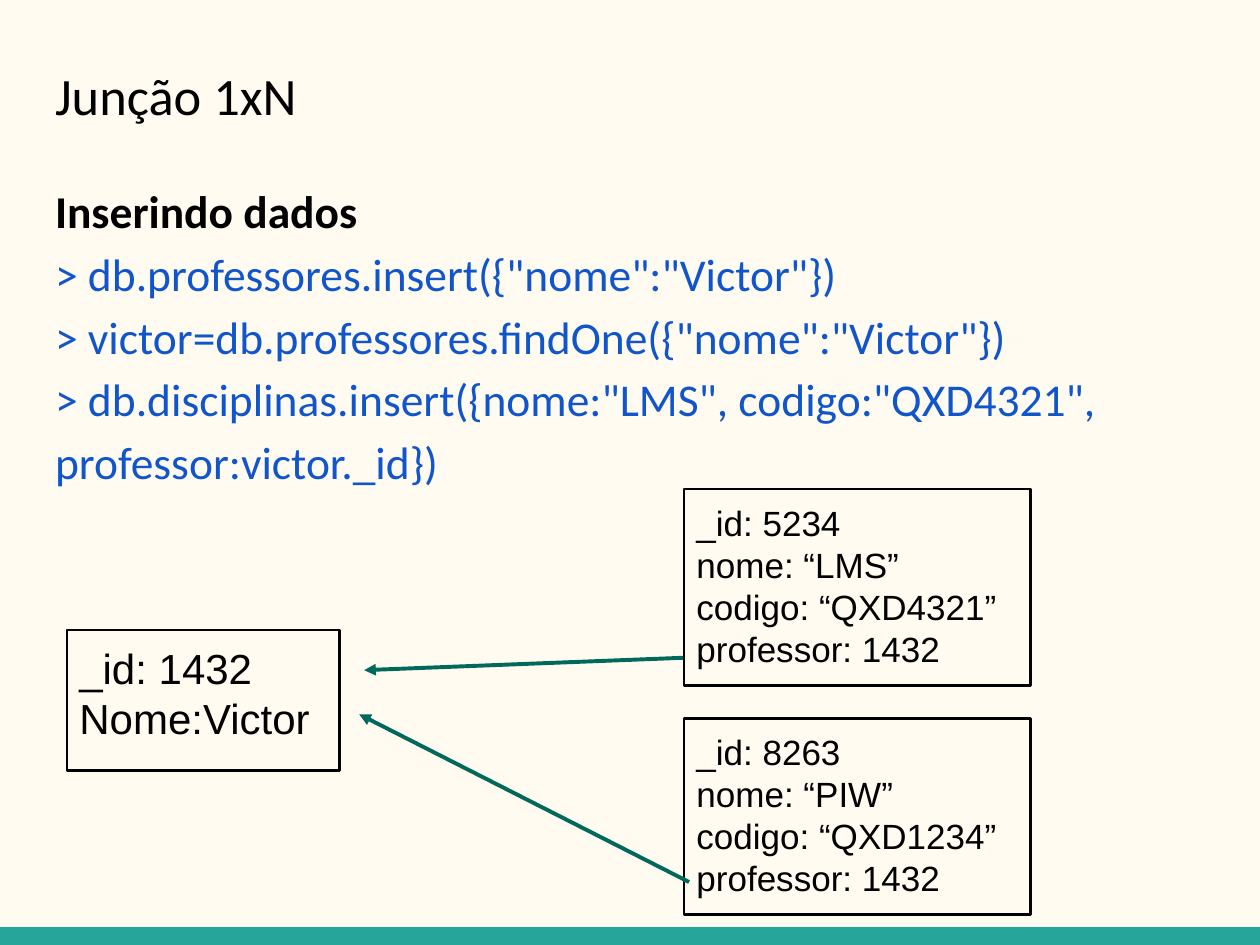
from lxml import etree
from pptx import Presentation
from pptx.dml.color import RGBColor
from pptx.enum.shapes import MSO_CONNECTOR, MSO_SHAPE
from pptx.enum.text import MSO_ANCHOR, PP_ALIGN
from pptx.oxml.ns import qn
from pptx.util import Cm, Pt

RECT = MSO_SHAPE.RECTANGLE
LINE = MSO_CONNECTOR.STRAIGHT
TOP = MSO_ANCHOR.TOP
LEFT = PP_ALIGN.LEFT

HUES = {"paper": "FFFBF0", "bar": "26A69A", "ink": "000000", "code": "1155CC", "arrow": "00695C"}
WIDTH, HEIGHT = 25.4, 19.05
PAD = 0.25
CODE = [
    '> db.professores.insert({"nome":"Victor"})',
    '> victor=db.professores.findOne({"nome":"Victor"})',
    '> db.disciplinas.insert({nome:"LMS", codigo:"QXD4321", professor:victor._id})',
]
COURSES = [("5234", "LMS", "QXD4321"), ("8263", "PIW", "QXD1234")]


def hue(name):
    return RGBColor.from_string(HUES[name])


def write(shape, lines, face, size, space=1.0):
    frame = shape.text_frame
    frame.word_wrap = True
    frame.vertical_anchor = TOP
    frame.margin_left = frame.margin_right = Cm(PAD)
    frame.margin_top = frame.margin_bottom = Cm(PAD)
    for i, (text, tint, bold) in enumerate(lines):
        para = frame.paragraphs[0] if i == 0 else frame.add_paragraph()
        para.text = text
        para.alignment = LEFT
        para.line_spacing = space
        font = para.font
        font.name, font.size, font.bold = face, Pt(size), bold
        font.color.rgb = hue(tint)


def add_text(slide, box, lines, size, space=1.0):
    shape = slide.shapes.add_textbox(*map(Cm, box))
    write(shape, lines, "Calibri", size, space)


def add_bar(slide, box):
    bar = slide.shapes.add_shape(RECT, *map(Cm, box))
    bar.shadow.inherit = False
    bar.fill.solid()
    bar.fill.fore_color.rgb = hue("bar")
    bar.line.fill.background()


def add_card(slide, box, lines, size):
    card = slide.shapes.add_shape(RECT, *map(Cm, box))
    card.shadow.inherit = False
    card.fill.background()
    card.line.color.rgb = hue("ink")
    card.line.width = Pt(1.5)
    write(card, [(text, "ink", False) for text in lines], "Arial", size)


def add_arrow(slide, start, end):
    arrow = slide.shapes.add_connector(LINE, *map(Cm, start + end))
    arrow.line.color.rgb = hue("arrow")
    arrow.line.width = Pt(2.25)
    etree.SubElement(arrow.line._get_or_add_ln(), qn("a:tailEnd"), type="triangle")
    etree.SubElement(arrow._element.spPr, qn("a:effectLst"))


def add_graph(slide, left, top):
    add_card(slide, (left, top + 2.84, 5.49, 2.84), ["_id: 1432", "Nome:Victor"], 24)
    for i, (key, name, code) in enumerate(COURSES):
        lines = [f"_id: {key}", f"nome: “{name}”", f"codigo: “{code}”", "professor: 1432"]
        add_card(slide, (left + 12.44, top + i * 4.62, 6.99, 3.96), lines, 20)
    add_arrow(slide, (left + 12.42, top + 3.4), (left + 5.99, top + 3.65))
    add_arrow(slide, (left + 12.54, top + 7.92), (left + 5.89, top + 4.54))


def main():
    deck = Presentation()
    deck.slide_width, deck.slide_height = Cm(WIDTH), Cm(HEIGHT)
    slide = deck.slides.add_slide(deck.slide_layouts[6])
    paper = slide.background.fill
    paper.solid()
    paper.fore_color.rgb = hue("paper")
    add_bar(slide, (0, HEIGHT - 0.36, WIDTH, 0.36))
    add_text(slide, (0.86, 1.02, 23.67, 2.26), [("Junção 1xN", "ink", False)], 30)
    body = [("Inserindo dados", "ink", True)] + [(text, "code", False) for text in CODE]
    add_text(slide, (0.86, 3.28, 23.67, 7.34), body, 26, 1.15)
    add_graph(slide, 1.35, 9.86)
    deck.save("out.pptx")


if __name__ == "__main__":
    main()
